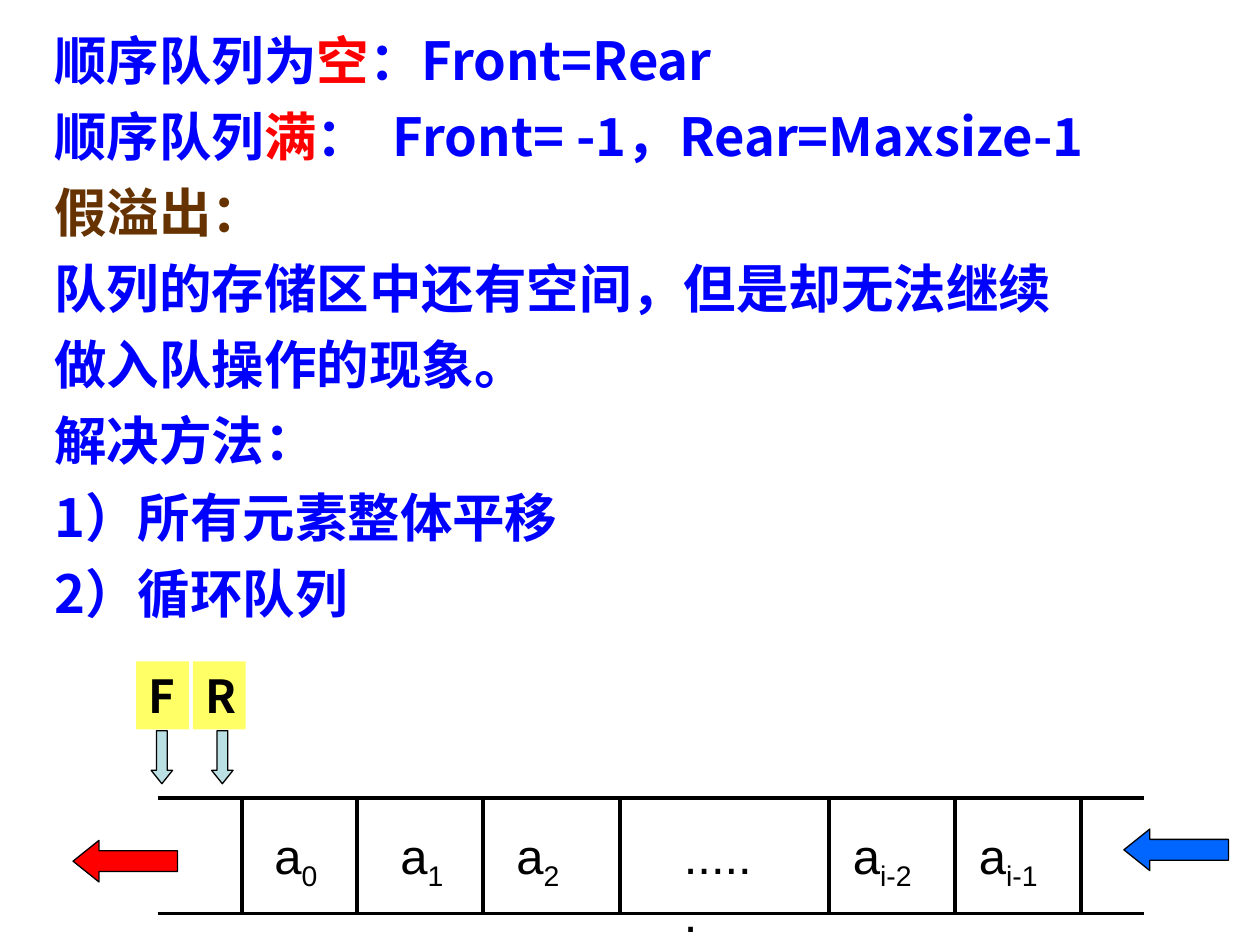
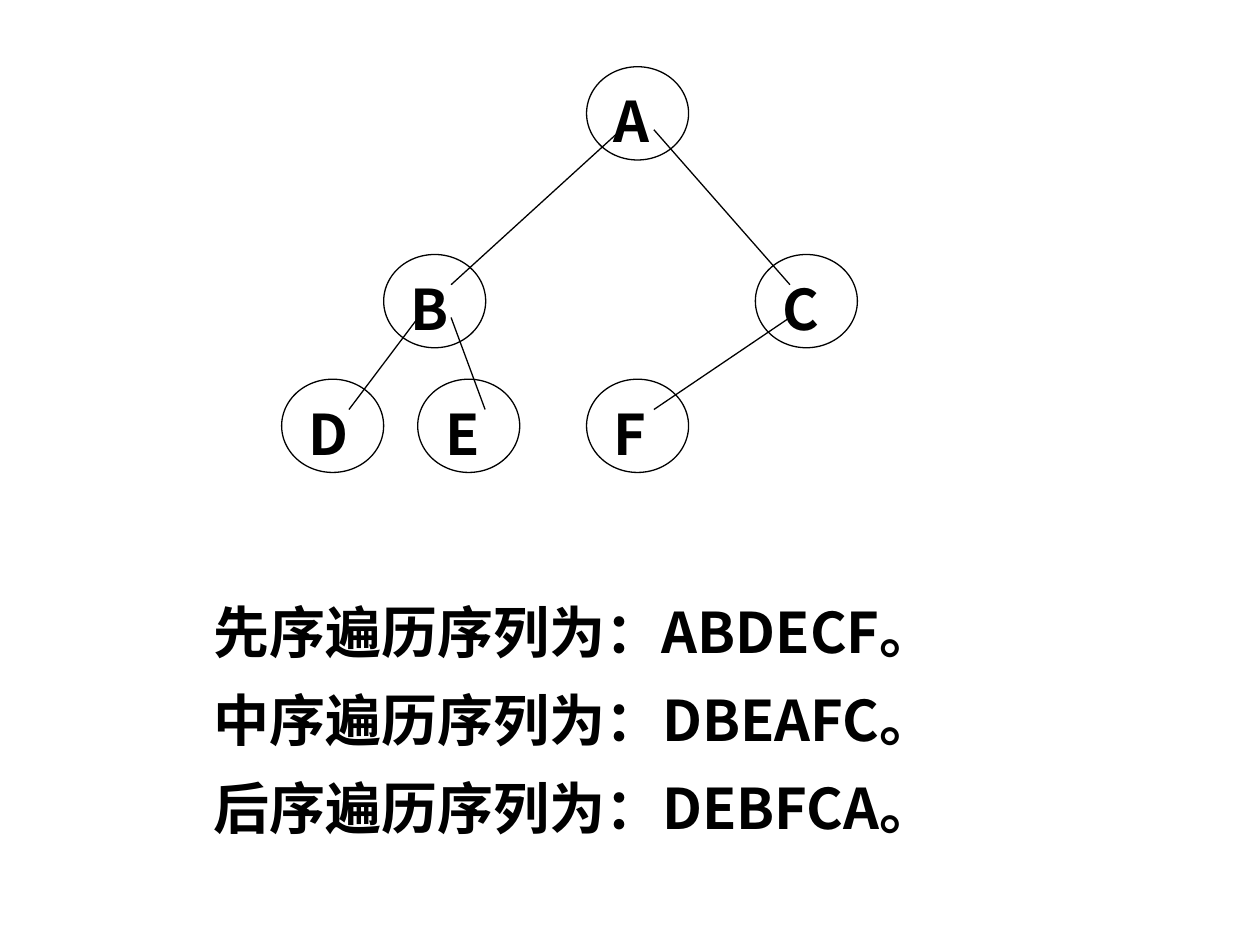
"""Build two slides: the sequential queue and the traversal of a binary tree."""
from lxml.etree import SubElement
from pptx import Presentation
from pptx.dml.color import RGBColor
from pptx.enum.shapes import MSO_CONNECTOR, MSO_SHAPE
from pptx.enum.text import MSO_ANCHOR, MSO_AUTO_SIZE, PP_ALIGN
from pptx.oxml.ns import qn
from pptx.util import Inches, Pt

BLACK, BLUE, RED, BROWN = "000000", "0000FF", "FF0000", "663300"
YELLOW, PALE_BLUE, BRIGHT_BLUE = "FFFF66", "BBE0E3", "0066FF"
CJK = "Noto Sans CJK SC"
rgb = RGBColor.from_string


def set_font(paragraph, size, colour=BLACK, name=CJK):
    font = paragraph.font
    font.size, font.name, font.bold = Pt(size), name, name == CJK
    font.color.rgb = rgb(colour)
    if name == CJK:
        paragraph.line_spacing = Pt(size * 1.2)
        defaults = paragraph._p.pPr.find(qn("a:defRPr"))
        SubElement(defaults, qn("a:ea")).set("typeface", CJK)


def add_line(slide, x1, y1, x2, y2, width):
    line = slide.shapes.add_connector(
        MSO_CONNECTOR.STRAIGHT, Inches(x1), Inches(y1), Inches(x2), Inches(y2))
    line.line.color.rgb = rgb(BLACK)
    line.line.width = Pt(width)
    SubElement(line._element.spPr, qn("a:effectLst"))


prs = Presentation()
prs.slide_width, prs.slide_height = Inches(10), Inches(7.5)

queue = prs.slides.add_slide(prs.slide_layouts[1])
title = queue.shapes.title._element
title.getparent().remove(title)
rules = queue.placeholders[1]
rules.left, rules.top = Inches(0.33), Inches(0.17)
rules.width, rules.height = Inches(9.33), Inches(4.92)
rules.text_frame.auto_size = MSO_AUTO_SIZE.NONE

rule_lines = [
    [("顺序队列为", BLUE), ("空", RED), ("：Front=Rear", BLUE)],
    [("顺序队列", BLUE), ("满", RED), ("：  Front= -1，Rear=Maxsize-1", BLUE)],
    [("假溢出：", BROWN)],
    [("队列的存储区中还有空间，但是却无法继续", BLUE)],
    [("做入队操作的现象。", BLUE)],
    [("解决方法：", BLUE)],
    [("1）所有元素整体平移", BLUE)],
    [("2）循环队列", BLUE)],
]
for i, parts in enumerate(rule_lines):
    rule = rules.text_frame.paragraphs[0] if i == 0 else rules.text_frame.add_paragraph()
    properties = rule._p.get_or_add_pPr()
    properties.set("marL", "0")
    properties.set("indent", "0")
    SubElement(properties, qn("a:buNone"))
    rule.space_before = Pt(7.5 if i else 0)
    set_font(rule, 30, BLUE)
    for text, colour in parts:
        run = rule.add_run()
        run.text = text
        if colour != BLUE:
            run.font.color.rgb = rgb(colour)

arrows = [
    (MSO_SHAPE.LEFT_ARROW, 0.58, 6.67, 0.83, 0.33, RED),
    (MSO_SHAPE.LEFT_ARROW, 8.92, 6.58, 0.83, 0.33, BRIGHT_BLUE),
    (MSO_SHAPE.DOWN_ARROW, 1.2, 5.8, 0.17, 0.42, PALE_BLUE),
    (MSO_SHAPE.DOWN_ARROW, 1.68, 5.8, 0.17, 0.42, PALE_BLUE),
]
for kind, x, y, width, height, colour in arrows:
    arrow = queue.shapes.add_shape(kind, Inches(x), Inches(y), Inches(width), Inches(height))
    arrow.adjustments[0], arrow.adjustments[1] = 0.5, 0.625
    arrow.fill.solid()
    arrow.fill.fore_color.rgb = rgb(colour)
    arrow.line.color.rgb = rgb(BLACK)
    arrow.line.width = Pt(0.75)
    arrow.shadow.inherit = False

cells = [
    ("a", "0", 2.08, 0.67, 0.63), ("a", "1", 3.08, 0.67, 0.63),
    ("a", "2", 4, 0.67, 0.63), ("......", "", 5.33, 0.83, 1.04),
    ("a", "i-2", 6.67, 0.92, 0.63), ("a", "i-1", 7.67, 0.92, 0.63),
]
for element, index, x, width, height in cells:
    cell = queue.shapes.add_textbox(Inches(x), Inches(6.5), Inches(width), Inches(height))
    cell.text_frame.word_wrap = True
    entry = cell.text_frame.paragraphs[0]
    set_font(entry, 28, name="Arial")
    entry.add_run().text = element
    if index:
        subscript = entry.add_run()
        subscript.text = index
        subscript._r.get_or_add_rPr().set("baseline", "-25000")

for y in (6.33, 7.25):
    add_line(queue, 1.25, y, 9.08, y, 2.25)
for x in (1.92, 2.83, 3.83, 4.92, 6.58, 7.58, 8.58):
    add_line(queue, x, 6.33, x, 7.25, 2.25)

for letter, x in (("F", 1.08), ("R", 1.53)):
    pointer = queue.shapes.add_shape(
        MSO_SHAPE.RECTANGLE, Inches(x), Inches(5.25), Inches(0.42), Inches(0.54))
    pointer.fill.solid()
    pointer.fill.fore_color.rgb = rgb(YELLOW)
    pointer.line.fill.background()
    pointer.shadow.inherit = False
    pointer.text_frame.vertical_anchor = MSO_ANCHOR.TOP
    pointer.text_frame.text = letter
    pointer.text_frame.paragraphs[0].alignment = PP_ALIGN.LEFT
    set_font(pointer.text_frame.paragraphs[0], 26)

tree = prs.slides.add_slide(prs.slide_layouts[6])
NODE_W, NODE_H, INSET = 0.81, 0.74, 0.13
centres = {
    "A": (5.06, 0.9), "B": (3.45, 2.39), "D": (2.64, 3.38),
    "E": (3.72, 3.38), "F": (5.06, 3.38), "C": (6.4, 2.39),
}
edges = [("A", "B", -1, 1), ("A", "C", 1, -1), ("B", "D", -1, 1),
         ("B", "E", 1, 1), ("C", "F", -1, 1)]
for parent, child, parent_side, child_side in edges:
    (x1, y1), (x2, y2) = centres[parent], centres[child]
    add_line(tree, x1 + parent_side * INSET, y1 + INSET,
             x2 + child_side * INSET, y2 - INSET, 0.75)

for letter, (x, y) in centres.items():
    node = tree.shapes.add_shape(
        MSO_SHAPE.OVAL, Inches(x - NODE_W / 2), Inches(y - NODE_H / 2),
        Inches(NODE_W), Inches(NODE_H))
    node.fill.background()
    node.line.color.rgb = rgb(BLACK)
    node.line.width = Pt(0.75)
    node.shadow.inherit = False
    node.text_frame.vertical_anchor = MSO_ANCHOR.TOP
    node.text_frame.text = letter
    node.text_frame.paragraphs[0].alignment = PP_ALIGN.LEFT
    set_font(node.text_frame.paragraphs[0], 32)

orders = tree.shapes.add_textbox(Inches(0.9), Inches(4.69), Inches(7.32), Inches(2.04))
orders.text_frame.word_wrap = True
orders.text_frame.text = "\n".join(
    f"{order}序遍历序列为：{sequence}。"
    for order, sequence in (("先", "ABDECF"), ("中", "DBEAFC"), ("后", "DEBFCA")))
for i, order in enumerate(orders.text_frame.paragraphs):
    order.alignment = PP_ALIGN.CENTER
    order.space_before = Pt(12 if i else 0)
    set_font(order, 32)

prs.save("out.pptx")
